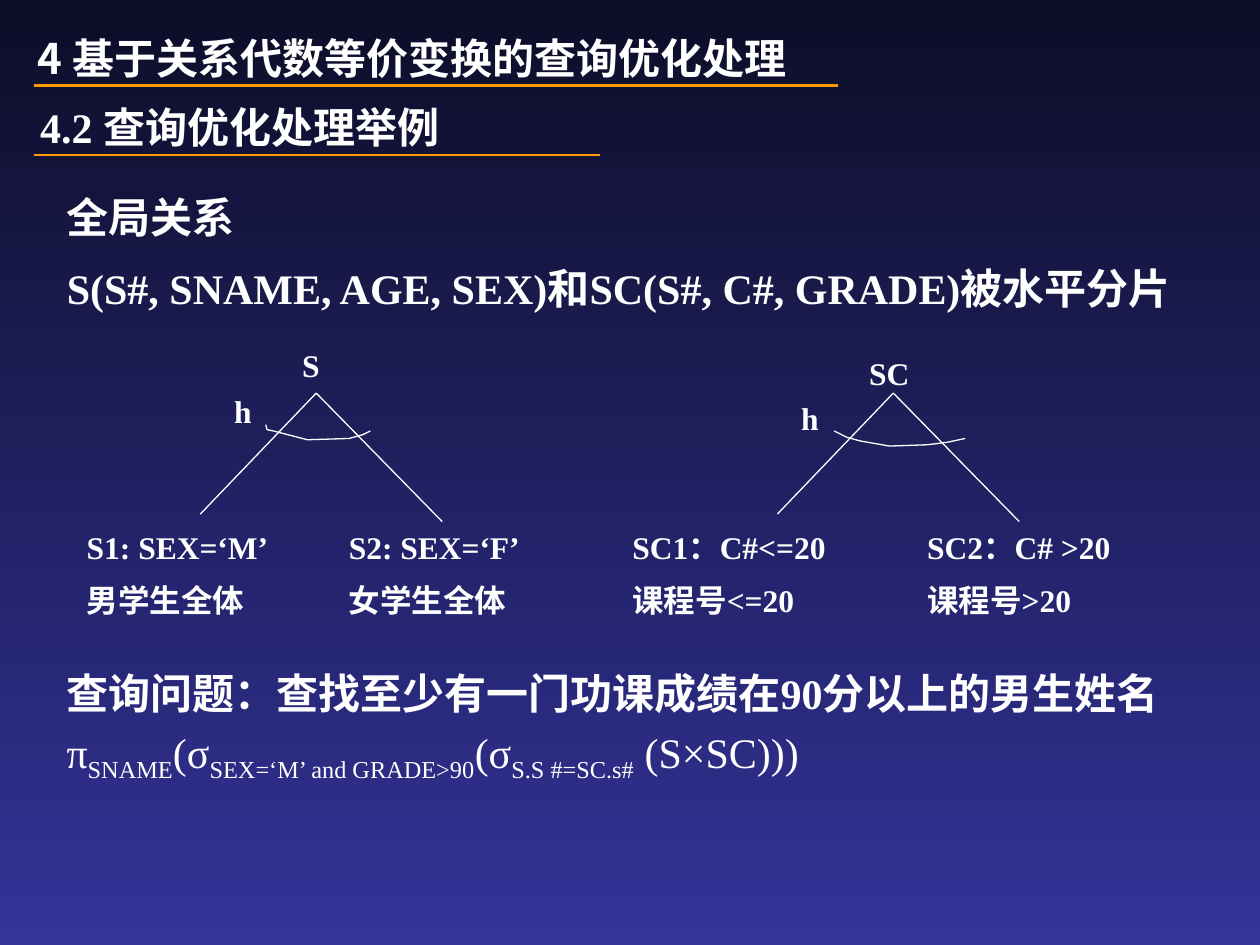
from lxml import etree
from pptx import Presentation
from pptx.dml.color import RGBColor
from pptx.enum.shapes import MSO_CONNECTOR
from pptx.enum.text import MSO_ANCHOR, MSO_AUTO_SIZE, PP_ALIGN
from pptx.oxml.ns import qn
from pptx.util import Pt

PX = 9144
WHITE = RGBColor(0xFF, 0xFF, 0xFF)
ORANGE = RGBColor(0xFF, 0x99, 0x00)
NIGHT = RGBColor(0x0D, 0x0D, 0x28)
INDIGO = RGBColor(0x33, 0x33, 0x99)
SERIF = "Times New Roman"
SANS = "Noto Sans CJK SC"
STRAIGHT = MSO_CONNECTOR.STRAIGHT
TOP = MSO_ANCHOR.TOP
NO_FIT = MSO_AUTO_SIZE.NONE
LEFT = PP_ALIGN.LEFT


def px(*lengths):
    """Turn pixel lengths into EMU."""
    return [n * PX for n in lengths]


def add_run(p, text, size=24, font=SERIF, bold=True, baseline=0):
    """Append one formatted run to a paragraph."""
    r = p.add_run()
    r.text = text
    r.font.size, r.font.name, r.font.bold = Pt(size), font, bold
    r.font.color.rgb = WHITE
    if baseline:
        r.font._element.set("baseline", str(baseline * 1000))


def write(sp, box, paragraphs, gap=0, **fmt):
    """Place a shape and fill it with paragraphs of (text, format) runs."""
    sp.left, sp.top, sp.width, sp.height = px(*box)
    tf = sp.text_frame
    tf.word_wrap, tf.auto_size, tf.vertical_anchor = True, NO_FIT, TOP
    for i, runs in enumerate(paragraphs):
        p = tf.add_paragraph() if i else tf.paragraphs[0]
        pPr = p._p.get_or_add_pPr()
        pPr.set("marL", "0")
        pPr.set("indent", "0")
        etree.SubElement(pPr, qn("a:buNone"))
        p.alignment = LEFT
        p.space_before = Pt(gap if i else 0)
        for text, extra in [(runs, {})] if isinstance(runs, str) else runs:
            add_run(p, text, **{**fmt, **extra})
    return tf


def add_text(slide, box, paragraphs, **fmt):
    """Add a text box with the given paragraphs."""
    return write(slide.shapes.add_textbox(*px(*box)), box, paragraphs, **fmt)


def add_line(slide, x1, y1, x2, y2, color=WHITE, width=0.75):
    """Draw a straight line without a shadow."""
    line = slide.shapes.add_connector(STRAIGHT, *px(x1, y1, x2, y2))
    line.line.color.rgb, line.line.width = color, Pt(width)
    etree.SubElement(line._element.spPr, qn("a:effectLst"))


def add_arc(slide, x, y, points):
    """Draw an open arc through points relative to x, y."""
    start, *rest = [(x + dx, y + dy) for dx, dy in points]
    builder = slide.shapes.build_freeform(*start, scale=PX)
    builder.add_line_segments(rest, close=False)
    sp = builder.convert_to_shape()
    sp.shadow.inherit = False
    sp.fill.background()
    sp.line.color.rgb, sp.line.width = WHITE, Pt(0.75)


def add_background(slide):
    """Fill the background with a vertical gradient."""
    fill = slide.background.fill
    fill.gradient()
    fill.gradient_angle = 270
    for stop, color, pos in zip(fill.gradient_stops, (NIGHT, INDIGO), (0, 1)):
        stop.color.rgb, stop.position = color, pos


def add_headings(slide, x, y):
    """Add the chapter title and section heading with their underlines."""
    write(slide.shapes.title, (x, y, 669, 50),
          ["4 基于关系代数等价变换的查询优化处理"], font=SANS)
    add_line(slide, x + 7, y + 47, x + 645, y + 47, ORANGE, 1.5)
    add_text(slide, (x + 2, y + 55, 500, 50),
             [[("4.2 ", {}), ("查询优化处理举例", {"font": SANS})]])
    add_line(slide, x + 7, y + 102, x + 456, y + 102, ORANGE, 1.5)


def add_tree(slide, x, y, root, leaves, arc, shift=(0, 0)):
    """Draw a fragmentation tree whose legs start at the left of the box."""
    dx, dy = shift
    for end_x, end_y in ((0, 96), (192, 102)):
        add_line(slide, x + 92, y, x + end_x, y + end_y)
    add_arc(slide, x, y, arc)
    add_text(slide, (x + 71 + dx, y - 42 + dy, 75, 40), [root], size=18)
    add_text(slide, (x + 17 + dx, y - 6 + dy, 42, 40), ["h"], size=18)
    for leaf_x, lines in leaves:
        add_text(slide, (x + leaf_x, y + 102, 233, 85), lines, size=18, gap=9)


def add_query(slide, x, y):
    """Add the query question and its relational algebra expression."""
    sub, plain = {"bold": False, "baseline": -25}, {"bold": False}
    formula = [("π", plain), ("SNAME", sub), ("(σ", plain),
               ("SEX=‘M’ and GRADE>90", sub), ("(σ", plain),
               ("S.S #=SC.s#", sub), (" (S×SC)))", plain)]
    tf = add_text(slide, (x, y, 906, 95),
                  ["查询问题：查找至少有一门功课成绩在90分以上的男生姓名", formula], gap=5)
    tf.paragraphs[1].line_spacing = 0.9


def main():
    """Build the slide and save it."""
    prs = Presentation()
    prs.slide_width, prs.slide_height = px(1000, 750)
    slide = prs.slides.add_slide(prs.slide_layouts[1])
    add_background(slide)
    add_headings(slide, 20, 21)
    write(slide.placeholders[1], (43, 147, 914, 110),
          ["全局关系", "S(S#, SNAME, AGE, SEX)和SC(S#, C#, GRADE)被水平分片"], gap=12)
    add_tree(slide, 159, 312, "S",
             [(-100, ["S1: SEX=‘M’", "男学生全体"]),
              (108, ["S2: SEX=‘F’", "女学生全体"])],
             [(52, 25), (53, 29), (58, 30), (85, 37), (118, 36), (129, 33), (135, 30)])
    add_tree(slide, 617, 312, "SC",
             [(-125, ["SC1：C#<=20", "课程号<=20"]),
              (109, ["SC2：C# >20", "课程号>20"])],
             [(45, 30), (55, 35), (66, 38), (89, 42), (119, 41), (135, 39), (149, 36)],
             shift=(-8, 6))
    add_query(slide, 43, 525)
    prs.save("out.pptx")


if __name__ == "__main__":
    main()
